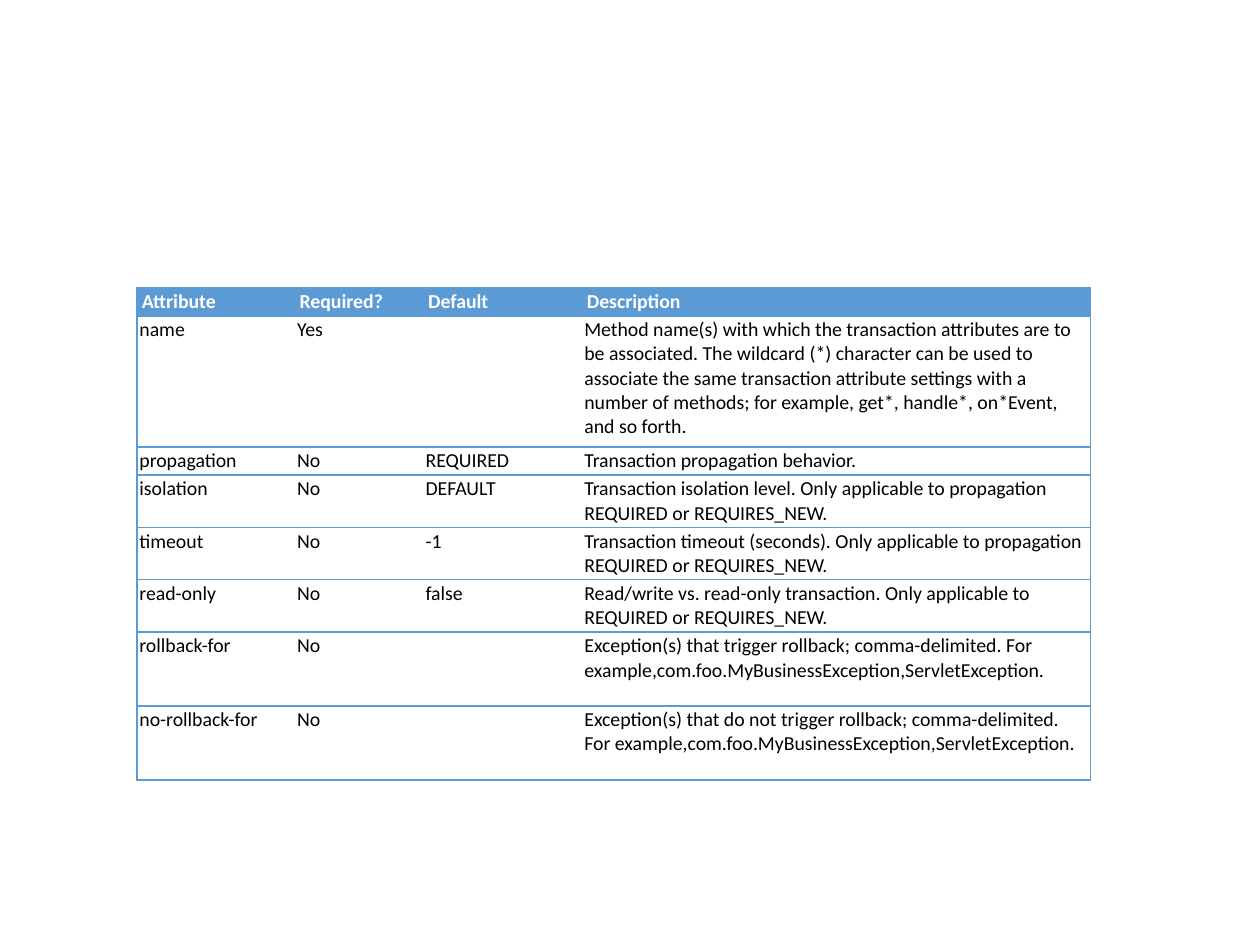
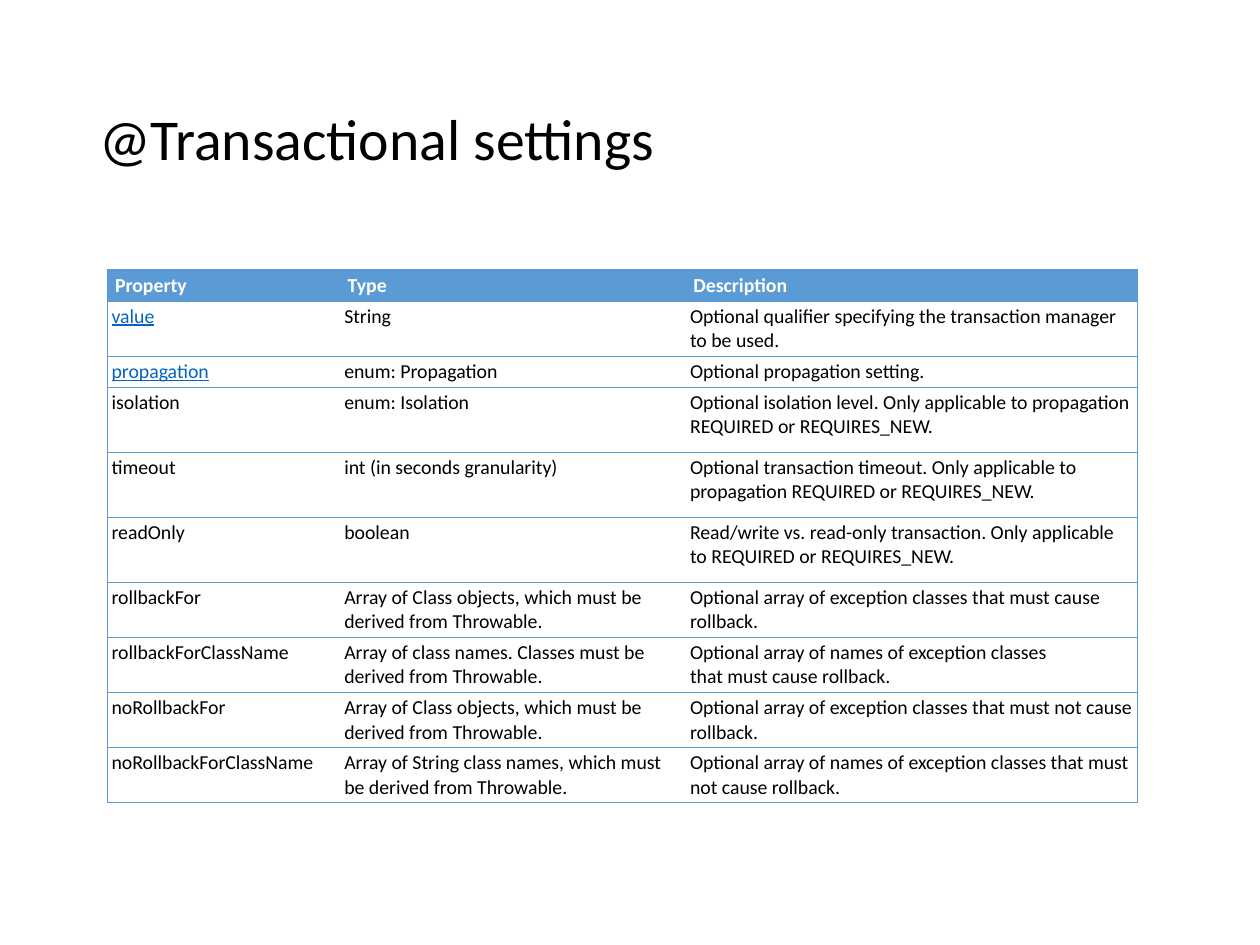
from lxml.etree import SubElement
from pptx import Presentation
from pptx.dml.color import RGBColor
from pptx.enum.text import MSO_ANCHOR
from pptx.oxml.ns import qn
from pptx.util import Cm, Pt

BLUE, WHITE, BLACK, LINK = "5B9BD5", "FFFFFF", "000000", "0563C1"
SCOPE = "Only applicable to propagation REQUIRED or REQUIRES_NEW."
ACCESS = ("Read/write vs. read-only transaction. "
          "Only applicable to REQUIRED or REQUIRES_NEW.")
EXCEPTIONS = ("trigger rollback; comma-delimited. For example,"
              "com.foo.MyBusinessException,ServletException.")
THROWABLE = "must be derived from\u00a0Throwable."
CLASS_ARRAY = "Array of\u00a0Class\u00a0objects, which " + THROWABLE

ATTRIBUTES = [
    ("Attribute", "Required?", "Default", "Description"),
    ("name", "Yes", "",
     "Method name(s) with which the transaction attributes are to be "
     "associated. The wildcard (*) character can be used to associate the "
     "same transaction attribute settings with a number of methods; for "
     "example,\u00a0get*,\u00a0handle*,\u00a0on*Event, and so forth."),
    ("propagation", "No", "REQUIRED", "Transaction propagation behavior."),
    ("isolation", "No", "DEFAULT", "Transaction isolation level. " + SCOPE),
    ("timeout", "No", "-1", "Transaction timeout (seconds). " + SCOPE),
    ("read-only", "No", "false", ACCESS),
    ("rollback-for", "No", "", "Exception(s)\u00a0that " + EXCEPTIONS),
    ("no-rollback-for", "No", "",
     "Exception(s)\u00a0that do\u00a0not\u00a0" + EXCEPTIONS),
]

SETTINGS = [
    ("Property", "Type", "Description"),
    ("value", "String",
     "Optional qualifier specifying the transaction manager to be used."),
    ("propagation", "enum:\u00a0Propagation", "Optional propagation setting."),
    ("isolation", "enum:\u00a0Isolation",
     "Optional isolation level. " + SCOPE),
    ("timeout", "int (in seconds granularity)",
     "Optional transaction timeout. " + SCOPE),
    ("readOnly", "boolean", ACCESS),
    ("rollbackFor", CLASS_ARRAY,
     "Optional array of exception classes that\u00a0must\u00a0cause rollback."),
    ("rollbackForClassName", "Array of class names. Classes " + THROWABLE,
     "Optional array of names of exception classes "
     "that\u00a0must\u00a0cause rollback."),
    ("noRollbackFor", CLASS_ARRAY,
     "Optional array of exception classes "
     "that\u00a0must not\u00a0cause rollback."),
    ("noRollbackForClassName",
     "Array of\u00a0String\u00a0class names, which " + THROWABLE,
     "Optional array of names of exception classes "
     "that\u00a0must not\u00a0cause rollback."),
]


def color(value):
    """Turn a hex string into a colour."""
    return RGBColor.from_string(value)


def set_border(cell, side, width):
    """Draw one side of a cell in blue, or hide it when width is 0."""
    line = SubElement(cell._tc.get_or_add_tcPr(), qn("a:ln" + side),
                      w=str(Pt(width)))
    if width:
        fill = SubElement(line, qn("a:solidFill"))
        SubElement(fill, qn("a:srgbClr"), val=BLUE)
    else:
        SubElement(line, qn("a:noFill"))


class Builder:
    """Holds the shared style, the deck and the current page."""

    font_name = "Calibri"
    title_size = 33
    table_size = 11.25

    def __init__(self):
        """Start a 4:3 deck."""
        self.deck = Presentation()
        self.deck.slide_width, self.deck.slide_height = Cm(25.4), Cm(19.05)

    def add_page(self):
        """Add a blank white page and make it current."""
        self.page = self.deck.slides.add_slide(self.deck.slide_layouts[6])
        fill = self.page.background.fill
        fill.solid()
        fill.fore_color.rgb = color(WHITE)

    def style(self, para, size, ink, bold=False):
        """Set the font of a whole paragraph."""
        para.font.name = self.font_name
        para.font.size = Pt(size)
        para.font.bold = bold
        para.font.color.rgb = color(ink)

    def add_title(self, text):
        """Add the page title."""
        box = self.page.shapes.add_textbox(Cm(1.75), Cm(1.02),
                                           Cm(21.9), Cm(3.68))
        frame = box.text_frame
        frame.word_wrap = True
        frame.vertical_anchor = MSO_ANCHOR.MIDDLE
        para = frame.paragraphs[0]
        para.text = text
        para.line_spacing = 0.9
        self.style(para, self.title_size, BLACK)

    def add_table(self, rows, left, top, widths, heights, line, margins,
                  links=()):
        """Add a ruled table; margins are header side, body side, vertical."""
        table = self.page.shapes.add_table(
            len(rows), len(widths), Cm(left), Cm(top),
            Cm(sum(widths)), Cm(sum(heights))).table
        table.horz_banding = False
        for column, width in zip(table.columns, widths):
            column.width = Cm(width)
        for row, height in zip(table.rows, heights):
            row.height = Cm(height)
        head_side, body_side, vertical = margins
        last = len(widths) - 1
        for r, texts in enumerate(rows):
            for c, text in enumerate(texts):
                cell = table.cell(r, c)
                side = body_side if r else head_side
                cell.margin_left = cell.margin_right = Cm(side)
                cell.margin_top = cell.margin_bottom = Cm(vertical)
                set_border(cell, "L", line if c == 0 else 0)
                set_border(cell, "R", line if c == last else 0)
                set_border(cell, "T", line)
                set_border(cell, "B", line)
                cell.fill.solid()
                cell.fill.fore_color.rgb = color(WHITE if r else BLUE)
                self.fill_cell(cell, text, r == 0, c == 0 and text in links)

    def fill_cell(self, cell, text, header, linked):
        """Write the text of one cell."""
        para = cell.text_frame.paragraphs[0]
        ink = WHITE if header else LINK if linked else BLACK
        self.style(para, self.table_size, ink, header)
        para.font.underline = linked
        if text:
            para.add_run().text = text


builder = Builder()

builder.add_page()
builder.add_table(
    ATTRIBUTES, 2.76, 5.8, widths=[3.18, 2.59, 3.2, 10.25],
    heights=[0.56, 2.64, 0.56] + [1.05] * 3 + [1.49] * 2,
    line=1, margins=(0.1, 0.05, 0.04))

builder.add_page()
builder.add_title("@Transactional settings")
builder.add_table(
    SETTINGS, 2.17, 5.44, widths=[4.69, 6.97, 9.09],
    heights=[0.63, 1.11, 0.63] + [1.31] * 3 + [1.11] * 4,
    line=0.5, margins=(0.15, 0.08, 0.07), links=("value", "propagation"))

builder.deck.save("out.pptx")
